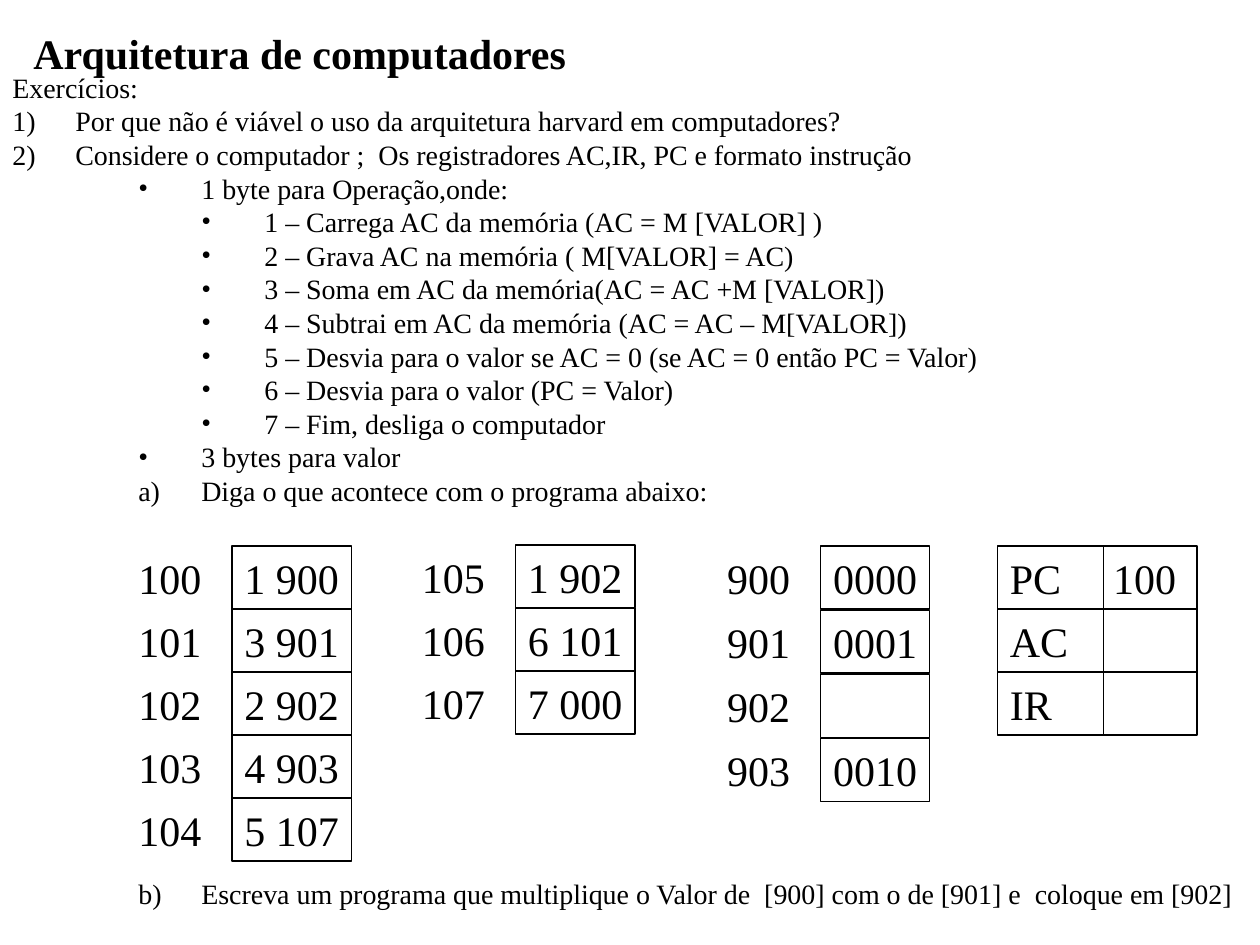
from dataclasses import dataclass

from lxml import etree
from pptx import Presentation
from pptx.dml.color import RGBColor
from pptx.enum import shapes as es, text as et
from pptx.oxml.ns import qn
from pptx.util import Pt


@dataclass(frozen=True)
class Theme:
    """Colours and type sizes."""
    ink: RGBColor = RGBColor(0, 0, 0)
    font: str = "Times New Roman"
    big: float = 24
    small: float = 16
    lead: float = 1.2
    line: float = 0.74
    row: float = 36


T = Theme()
TASKS = [
    ("Exercícios:", 36, None),
    ("Por que não é viável o uso da arquitetura harvard em computadores?", 36, "arabicParenR"),
    ("Considere o computador ;  Os registradores AC,IR, PC e formato instrução", 36, "arabicParenR"),
    ("1 byte para Operação,onde:", 108, "•"),
    ("1 – Carrega AC da memória (AC = M [VALOR] )", 144, "•"),
    ("2 – Grava AC na memória ( M[VALOR] = AC)", 144, "•"),
    ("3 – Soma em AC da memória(AC = AC +M [VALOR])", 144, "•"),
    ("4 – Subtrai em AC da memória (AC = AC – M[VALOR])", 144, "•"),
    ("5 – Desvia para o valor se AC = 0 (se AC = 0 então PC = Valor)", 144, "•"),
    ("6 – Desvia para o valor (PC = Valor)", 144, "•"),
    ("7 – Fim, desliga o computador", 144, "•"),
    ("3 bytes para valor", 108, "•"),
    ("Diga o que acontece com o programa abaixo:", 108, "alphaLcParenR"),
    ("Escreva um programa que multiplique o Valor de  [900] com o de [901] e  coloque em [902]",
     108, "alphaLcParenR"),
]
LEVELS = {36: 0, 108: 2, 144: 3}


def write(para, words, size=T.big, bold=False, before=0, tab=None):
    """Put formatted words in a paragraph."""
    para.alignment = et.PP_ALIGN.LEFT
    para.line_spacing = Pt(round(size * T.lead, 2))
    para.space_before = Pt(before)
    run = para.add_run()
    run.text = words
    run.font.name, run.font.size, run.font.bold = T.font, Pt(size), bold
    run.font.color.rgb = T.ink
    if tab:
        stops = etree.SubElement(para._p.get_or_add_pPr(), qn("a:tabLst"))
        etree.SubElement(stops, qn("a:tab"), pos=str(Pt(tab)), algn="l")


def mark(para, left, sign):
    """Indent a paragraph and give it a bullet or a number."""
    para.level = LEVELS[left]
    props = para._p.get_or_add_pPr()
    props.set("marL", str(Pt(left)))
    props.set("indent", str(-Pt(36)))
    if sign is None:
        etree.SubElement(props, qn("a:buNone"))
    elif sign == "•":
        etree.SubElement(props, qn("a:buFont"), typeface=T.font)
        etree.SubElement(props, qn("a:buChar"), char=sign)
    else:
        etree.SubElement(props, qn("a:buFont"), typeface=T.font)
        etree.SubElement(props, qn("a:buAutoNum"), type=sign)


def frame(shape, wrap):
    """Set up the text frame of a shape."""
    body = shape.text_frame
    body.word_wrap = wrap
    body.vertical_anchor = et.MSO_ANCHOR.TOP
    return body


def label(page, words, x, y, wide, **form):
    """Add one line of free text."""
    box = page.shapes.add_textbox(Pt(x), Pt(y), Pt(wide), Pt(T.row))
    write(frame(box, False).paragraphs[0], words, **form)


def cell(home, words, x, y, wide, wrap=False, **form):
    """Add an outlined memory cell."""
    box = home.shapes.add_shape(es.MSO_SHAPE.RECTANGLE, Pt(x), Pt(y), Pt(wide), Pt(T.row))
    box.shadow.inherit = False
    box.fill.background()
    box.line.color.rgb, box.line.width = T.ink, Pt(T.line)
    body = frame(box, wrap)
    if words:
        write(body.paragraphs[0], words, **form)


def tasks(page, x, y, wide, high):
    """Add the list of exercises."""
    box = page.shapes.add_textbox(Pt(x), Pt(y), Pt(wide), Pt(high))
    body = frame(box, True)
    for i, (words, left, sign) in enumerate(TASKS):
        para = body.add_paragraph() if i else body.paragraphs[0]
        last = i == len(TASKS) - 1
        write(para, words, size=T.small, before=211.2 if last else 0)
        mark(para, left, sign)


def memory(page, x, y, wide, start, words, step=T.row):
    """Add a column of addresses and their cells."""
    for i, word in enumerate(words):
        top = y + i * step
        label(page, str(start + i), x, top, 50.4)
        cell(page, word, x + 60.5, top, wide)


def registers(page, x, y, wide, split, names):
    """Add the group of registers, each split in name and value."""
    group = page.shapes.add_group_shape()
    for i, name in enumerate(names):
        top = y + i * T.row
        cell(group, name, x, top, wide, wrap=True, tab=59)
        rule = group.shapes.add_connector(
            es.MSO_CONNECTOR.STRAIGHT, Pt(x + split), Pt(top), Pt(x + split), Pt(top + T.row))
        rule.line.color.rgb, rule.line.width = T.ink, Pt(T.line)
        etree.SubElement(rule._element.spPr, qn("a:effectLst"))


def build():
    """Build the slide and save it."""
    deck = Presentation()
    deck.slide_width, deck.slide_height = Pt(720), Pt(540)
    page = deck.slides.add_slide(deck.slide_layouts[6])
    label(page, "Arquitetura de computadores", 12, 12, 320, bold=True)
    tasks(page, 0, 36.7, 720, 487.4)
    memory(page, 72, 312, 68.4, 100, ["1 900", "3 901", "2 902", "4 903", "5 107"])
    memory(page, 234, 311.4, 68.4, 105, ["1 902", "6 101", "7 000"])
    memory(page, 408.5, 312, 62, 900, ["0000", "0001", "", "0010"], step=36.7)
    registers(page, 570, 312, 114, 60.7, ["PC\t100", "AC", "IR"])
    deck.save("out.pptx")


build()
